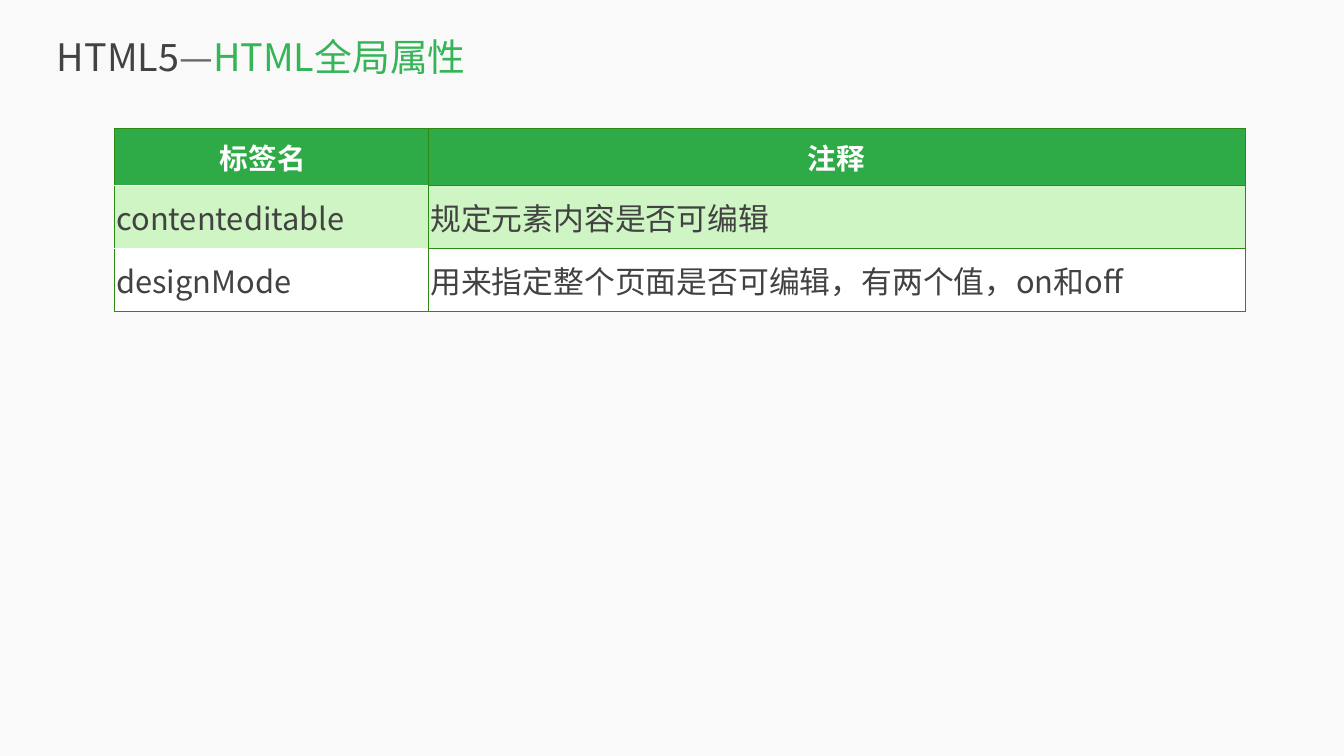
from lxml.etree import SubElement
from pptx import Presentation
from pptx.dml.color import RGBColor
from pptx.enum.text import MSO_ANCHOR, PP_ALIGN
from pptx.oxml import parse_xml
from pptx.oxml.ns import nsdecls, qn
from pptx.util import Pt

FONT = "Noto Sans CJK SC"
PAPER = RGBColor(0xF9, 0xF9, 0xF9)
WHITE = RGBColor(0xFF, 0xFF, 0xFF)
INK = RGBColor(0x42, 0x42, 0x42)
GREY = RGBColor(0x66, 0x66, 0x66)
TITLE_GREEN = RGBColor(0x35, 0xB5, 0x58)
HEADER_GREEN = RGBColor(0x2E, 0xAA, 0x46)
PALE_GREEN = RGBColor(0xCE, 0xF5, 0xC3)
BORDER_GREEN = RGBColor(0x2D, 0x8B, 0x13)

TITLE = [("HTML5", INK), ("—", GREY), ("HTML全局属性", TITLE_GREEN)]
ROWS = [
    ("标签名", "注释"),
    ("contenteditable", "规定元素内容是否可编辑"),
    ("designMode", "用来指定整个页面是否可编辑，有两个值，on和off"),
]
ROW_FILLS = [HEADER_GREEN, PALE_GREEN, WHITE]
ROW_HEIGHTS = [82, 90, 90]
COLUMN_WIDTHS = [448.5, 1168]
CELL_MARGIN = 3.6
HEADER_OFFSET = 23  # moves the first heading left of its cell's centre


def add_span(para, text, size, color, bold=False):
    """Add a run that uses FONT for Latin and Chinese letters alike."""
    span = para.add_run()
    span.text = text
    font = span.font
    font.name, font.size, font.bold = FONT, Pt(size), bold
    font.color.rgb = color
    SubElement(span._r.get_or_add_rPr(), qn("a:ea"), typeface=FONT)


def set_borders(cell, row, column):
    """Green on all sides, but white between the rows of the first column."""
    white_sides = set()
    if column == 0 and row > 0:
        white_sides.add("T")
    if column == 0 and row < len(ROWS) - 1:
        white_sides.add("B")
    properties = cell._tc.get_or_add_tcPr()
    for index, side in enumerate("LRTB"):
        color, width = (WHITE, 1) if side in white_sides else (BORDER_GREEN, 0.75)
        properties.insert(index, parse_xml(
            f'<a:ln{side} {nsdecls("a")} w="{Pt(width)}"><a:solidFill>'
            f'<a:srgbClr val="{color}"/></a:solidFill></a:ln{side}>'))


def add_title(page):
    box = page.shapes.add_textbox(Pt(81.4), Pt(16.6), Pt(1811.5), Pt(126.7))
    frame = box.text_frame
    frame.word_wrap = True
    frame.vertical_anchor = MSO_ANCHOR.MIDDLE
    frame.margin_left = frame.margin_right = 0
    frame.margin_top = frame.margin_bottom = 0
    for text, color in TITLE:
        add_span(frame.paragraphs[0], text, 54, color)


def add_attribute_table(page):
    table = page.shapes.add_table(
        len(ROWS), len(COLUMN_WIDTHS), Pt(162.7), Pt(182.9),
        Pt(sum(COLUMN_WIDTHS)), Pt(sum(ROW_HEIGHTS))).table
    for column, width in zip(table.columns, COLUMN_WIDTHS):
        column.width = Pt(width)
    for r, (texts, fill, height) in enumerate(zip(ROWS, ROW_FILLS, ROW_HEIGHTS)):
        table.rows[r].height = Pt(height)
        for c, text in enumerate(texts):
            cell = table.cell(r, c)
            cell.fill.solid()
            cell.fill.fore_color.rgb = fill
            cell.vertical_anchor = MSO_ANCHOR.MIDDLE
            cell.margin_left = cell.margin_right = Pt(CELL_MARGIN)
            cell.margin_top = cell.margin_bottom = Pt(CELL_MARGIN)
            para = cell.text_frame.paragraphs[0]
            if r == 0:
                para.alignment = PP_ALIGN.CENTER
                add_span(para, text, 41, WHITE, bold=True)
            else:
                add_span(para, text, 44, INK)
            set_borders(cell, r, c)
    table.cell(0, 0).margin_right = Pt(CELL_MARGIN + HEADER_OFFSET)


def main():
    deck = Presentation()
    deck.slide_width, deck.slide_height = Pt(1920), Pt(1080)
    page = deck.slides.add_slide(deck.slide_layouts[6])
    page.background.fill.solid()
    page.background.fill.fore_color.rgb = PAPER
    add_title(page)
    add_attribute_table(page)
    deck.save("out.pptx")


if __name__ == "__main__":
    main()
